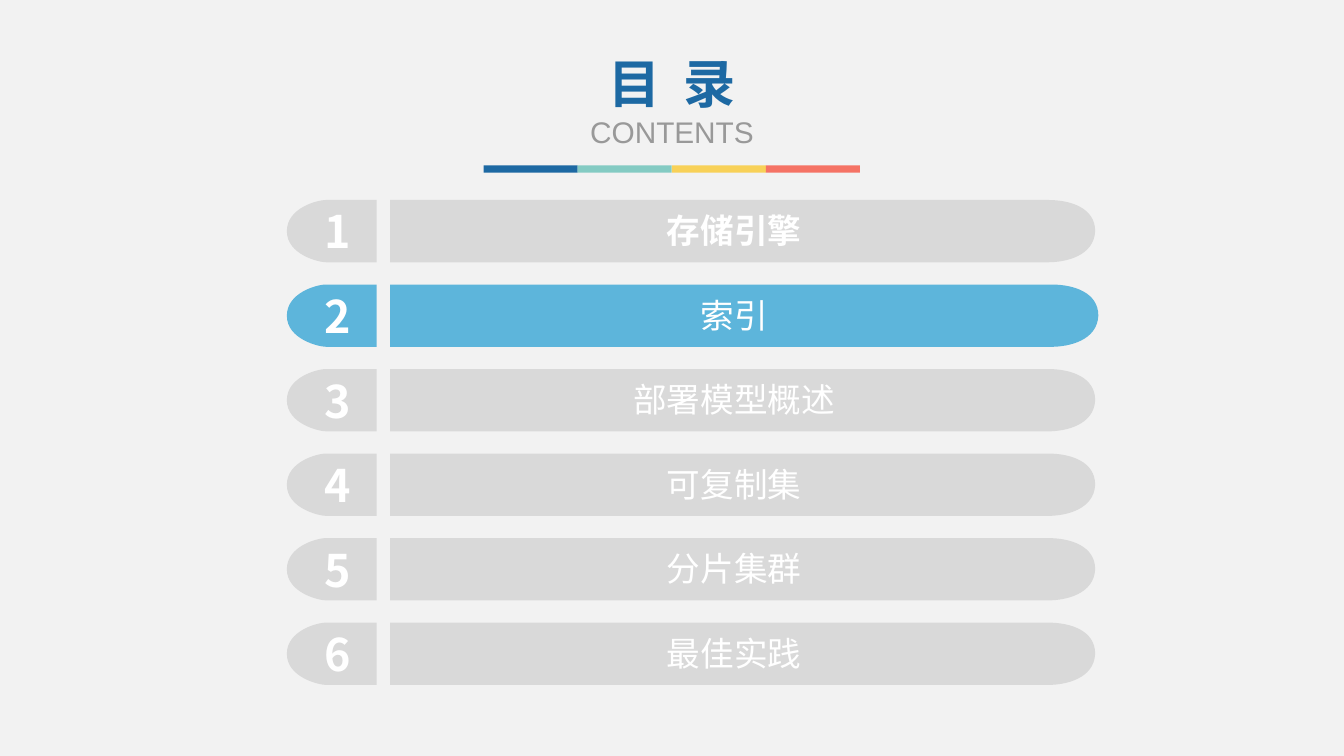
from dataclasses import dataclass

from lxml import etree
from pptx import Presentation
from pptx.dml.color import RGBColor
from pptx.enum.shapes import MSO_SHAPE
from pptx.enum.text import MSO_ANCHOR, MSO_AUTO_SIZE, PP_ALIGN
from pptx.oxml.ns import qn
from pptx.util import Cm, Pt

RECT = MSO_SHAPE.RECTANGLE
CENTER = PP_ALIGN.CENTER
TOP = MSO_ANCHOR.TOP
FIXED, GROW = MSO_AUTO_SIZE.NONE, MSO_AUTO_SIZE.SHAPE_TO_FIT_TEXT
TITLE_ONLY = 5


@dataclass(frozen=True)
class Theme:
    """Colours, fonts and type sizes of the deck."""
    background: str = "F2F2F2"
    title: str = "1D69A3"
    subtitle: str = "999999"
    idle: str = "D9D9D9"
    active: str = "5DB5DB"
    white: str = "FFFFFF"
    stripes: tuple = ("1D69A3", "84CBC3", "F8D158", "F57365")
    title_font: str = "Roboto Condensed"
    subtitle_font: str = "Arial"
    cjk_font: str = "Noto Sans CJK SC"
    title_size: float = 37.3
    subtitle_size: float = 21.3
    number_size: float = 32
    label_size: float = 24


THEME = Theme()
TOPICS = ["存储引擎", "索引", "部署模型概述", "可复制集", "分片集群", "最佳实践"]
ACTIVE = 2
BOLD = (1,)
TAB_W, TAB_GAP, ROW_H, ROW_PITCH = 2.26, 0.34, 1.57, 2.13
TAB_END = [(0.99, 1), (0.81, 1), (0, 0.88), (0, 0.5), (0, 0.13), (0.76, 0), (0.99, 0)]
BAR_END = [(1.19, 1), (0.74, 1), (0.03, 0.9), (0, 0.5), (0, 0.13), (0.61, 0), (1.19, 0)]


def paint(shape, color):
    """Give a shape a plain fill without line or shadow."""
    shape.fill.solid()
    shape.fill.fore_color.rgb = RGBColor.from_string(color)
    shape.line.fill.background()
    shape.shadow.inherit = False


def format_line(p, size, font, color, bold=False):
    """Centre a paragraph and format its run."""
    p.alignment = CENTER
    r = p.runs[0]
    r.font.size, r.font.name, r.font.bold = Pt(size), font, bold
    r.font.color.rgb = RGBColor.from_string(color)
    ea = etree.SubElement(r.font._element, qn("a:ea"))
    ea.set("typeface", THEME.cjk_font)
    return r


def curve(segments):
    """Turn three straight segments into one cubic curve through their points."""
    cubic = etree.Element(qn("a:cubicBezTo"))
    segments[0].addprevious(cubic)
    for segment in segments:
        cubic.append(segment[0])
        segment.getparent().remove(segment)


def half_pill(shapes, flat, tip, top, end, color):
    """Draw a bar that is flat at one x and rounded towards the other."""
    inward = 1 if flat > tip else -1
    rounded = [(tip + inward * dx, top + ROW_H * dy) for dx, dy in end]
    outline = [(flat, top + ROW_H), *rounded]
    builder = shapes.build_freeform(Cm(flat), Cm(top))
    builder.add_line_segments([(Cm(x), Cm(y)) for x, y in outline])
    shape = builder.convert_to_shape()
    segments = list(shape.element.iter(qn("a:lnTo")))
    curve(segments[2:5])
    curve(segments[5:8])
    paint(shape, color)


def add_text(shapes, box, text, size, bold, wrap):
    """Place one centred white line of text in a box."""
    tf = shapes.add_textbox(*map(Cm, box)).text_frame
    tf.word_wrap, tf.auto_size, tf.vertical_anchor = wrap, GROW, TOP
    tf.text = text
    format_line(tf.paragraphs[0], size, THEME.cjk_font, THEME.white, bold)


def add_heading(s, left, top, width, height):
    """Fill the title placeholder with the heading and its subtitle."""
    title = s.shapes.title
    title.left, title.top, title.width, title.height = map(Cm, (left, top, width, height))
    tf = title.text_frame
    tf.word_wrap, tf.auto_size, tf.vertical_anchor = True, FIXED, TOP
    tf.text = "目 录\nCONTENTS"
    heading, subtitle = tf.paragraphs
    r = format_line(heading, THEME.title_size, THEME.title_font, THEME.title, True)
    r.font._element.set("spc", "400")
    format_line(subtitle, THEME.subtitle_size, THEME.subtitle_font, THEME.subtitle)


def add_stripes(s, left, top, width, height):
    """Split a thin band into equal coloured stripes."""
    shapes = s.shapes.add_group_shape().shapes
    step = width / len(THEME.stripes)
    for i, color in enumerate(THEME.stripes):
        box = (left + i * step, top, step, height)
        paint(shapes.add_shape(RECT, *map(Cm, box)), color)


def add_topic(s, left, top, width, number, label):
    """Draw one agenda row: a numbered tab and a labelled bar."""
    shapes = s.shapes.add_group_shape().shapes
    active = number == ACTIVE
    color = THEME.active if active else THEME.idle
    bar = left + TAB_W + TAB_GAP
    tip = left + width + (0.08 if active else 0)
    half_pill(shapes, left + TAB_W, left, top, TAB_END, color)
    half_pill(shapes, bar, tip, top, BAR_END, color)
    add_text(shapes, (left + 0.67, top - 0.02, 1.22, 1.63), str(number),
             THEME.number_size, True, False)
    add_text(shapes, (bar + 0.11, top + 0.13, 17.12, 1.27), label,
             THEME.label_size, number in BOLD, True)


def add_agenda(s, left, top, width):
    """Stack the agenda rows at an equal pitch."""
    for i, label in enumerate(TOPICS):
        add_topic(s, left, top + i * ROW_PITCH, width, i + 1, label)


def main():
    """Build the contents slide and save it."""
    prs = Presentation()
    prs.slide_width, prs.slide_height = Cm(33.87), Cm(19.05)
    s = prs.slides.add_slide(prs.slide_layouts[TITLE_ONLY])
    s.background.fill.solid()
    s.background.fill.fore_color.rgb = RGBColor.from_string(THEME.background)
    add_stripes(s, 12.19, 4.17, 9.48, 0.18)
    add_heading(s, 14.19, 1.17, 5.49, 2.77)
    add_agenda(s, 7.23, 5.04, 20.37)
    prs.save("out.pptx")


if __name__ == "__main__":
    main()
